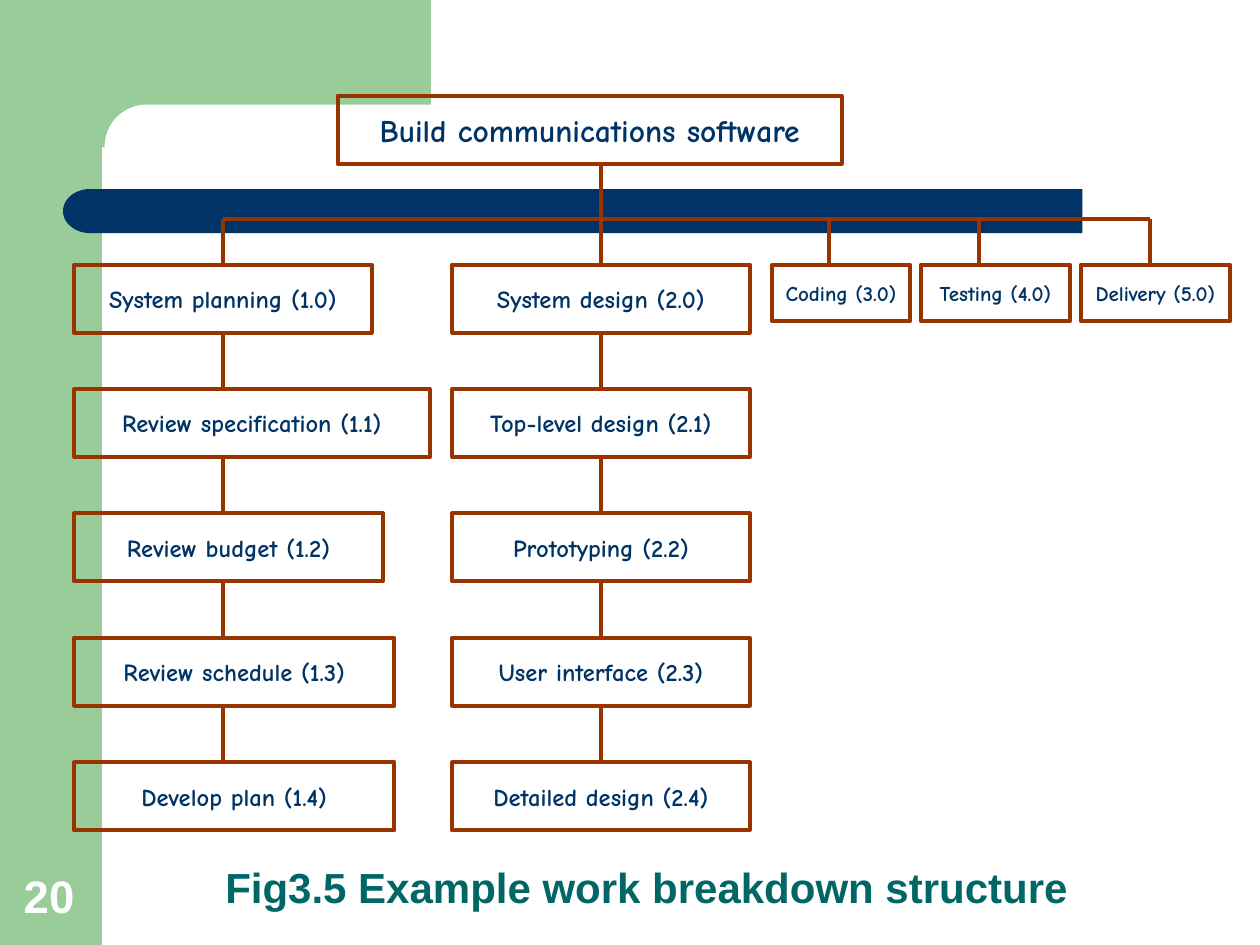
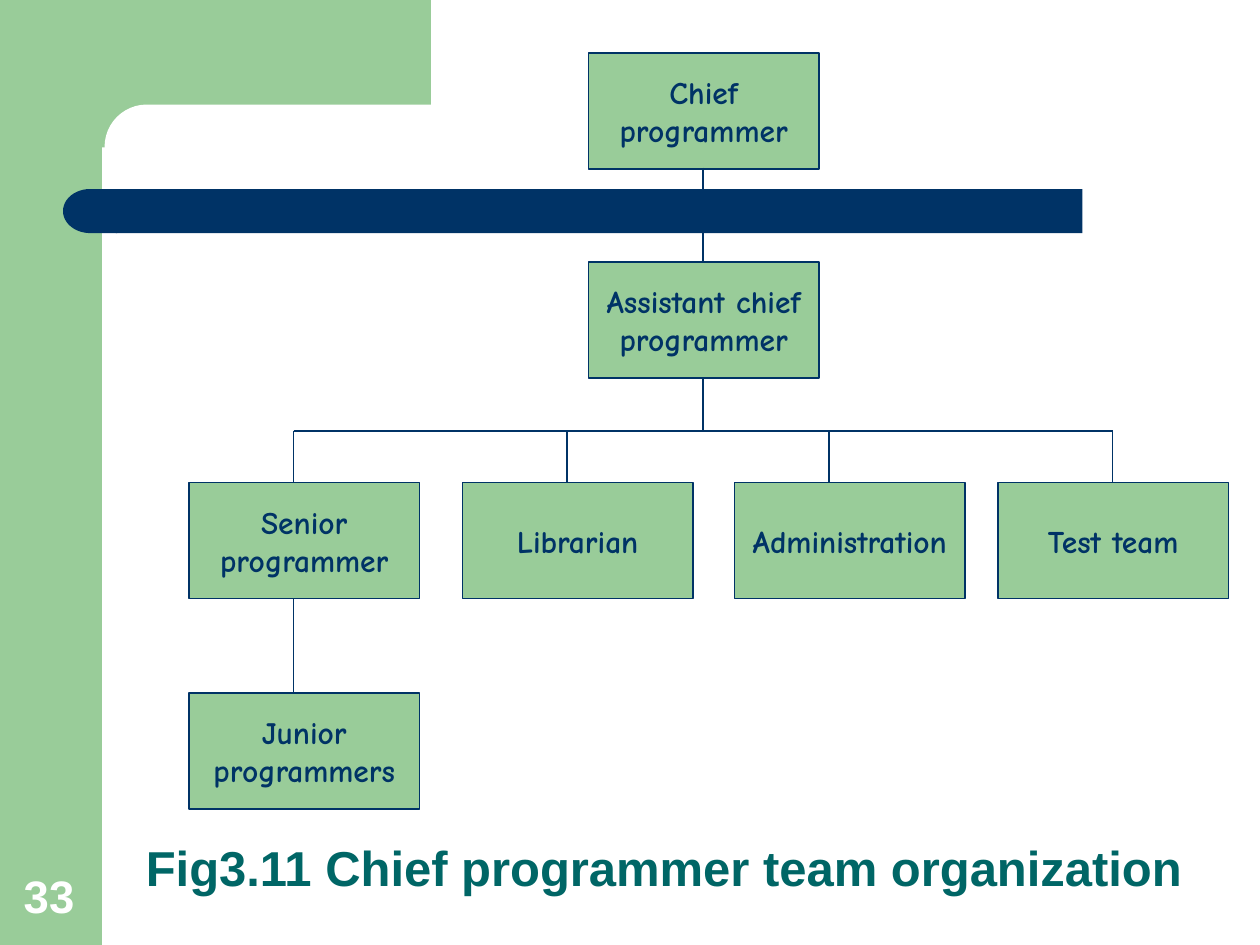
from lxml import etree
from pptx import Presentation
from pptx import util as u
from pptx.dml.color import RGBColor
from pptx.enum import shapes, text
from pptx.oxml.ns import qn

GREEN, NAVY, TEAL, RUST, WHITE = "99CC99", "003366", "006666", "993300", "FFFFFF"
SHAPE = shapes.MSO_SHAPE
color = RGBColor.from_string


def add_box(slide, place, words="", size=18, font="Comic Neue", ink=NAVY,
            kind=SHAPE.RECTANGLE, fill=None, line=None, line_width=1):
    """Add a preset shape, or a bottom-anchored text box when kind is None."""
    place = [u.Inches(value) for value in place]
    if kind is None:
        shape = slide.shapes.add_textbox(*place)
    else:
        shape = slide.shapes.add_shape(kind, *place)
        shape.shadow.inherit = False
        if fill:
            shape.fill.solid()
            shape.fill.fore_color.rgb = color(fill)
        else:
            shape.fill.background()
        if line:
            shape.line.color.rgb = color(line)
            shape.line.width = u.Pt(line_width)
        else:
            shape.line.fill.background()
    if words:
        frame = shape.text_frame
        frame.text = words
        frame.word_wrap = kind is None
        frame.vertical_anchor = text.MSO_ANCHOR.BOTTOM if kind is None else text.MSO_ANCHOR.MIDDLE
        if kind is not None:
            frame.margin_left = frame.margin_right = frame.margin_top = frame.margin_bottom = 0
        for paragraph in frame.paragraphs:
            paragraph.alignment = text.PP_ALIGN.LEFT if kind is None else text.PP_ALIGN.CENTER
            for run in paragraph.runs:
                run.font.name, run.font.size, run.font.bold = font, u.Pt(size), True
                run.font.color.rgb = color(ink)
    return shape


def add_line(slide, x1, y1, x2, y2, line, line_width):
    ends = [u.Inches(value) for value in (x1, y1, x2, y2)]
    connector = slide.shapes.add_connector(shapes.MSO_CONNECTOR.STRAIGHT, *ends)
    connector.line.color.rgb = color(line)
    connector.line.width = u.Pt(line_width)
    etree.SubElement(connector._element.spPr, qn("a:effectLst"))


presentation = Presentation()
presentation.slide_width, presentation.slide_height = u.Inches(10), u.Inches(7.5)

# Shared background, slide number and caption
slides = []
for number, caption, caption_place, caption_size in [
    ("20", "Fig3.5 Example work breakdown structure", (1.69, 6.71, 7.4, 0.58), 24),
    ("33", "Fig3.11 Chief programmer team organization", (1.06, 6.42, 8.6, 0.75), 28),
]:
    slide = presentation.slides.add_slide(presentation.slide_layouts[6])
    slides.append(slide)
    add_box(slide, (0, 0, 0.81, 7.5), fill=GREEN)
    add_box(slide, (0.73, 0, 2.69, 1.17), fill=GREEN)
    corner = add_box(slide, (0.83, 0.83, 5.58, 0.67), kind=SHAPE.ROUNDED_RECTANGLE, fill=WHITE)
    corner.adjustments[0] = 0.5
    add_box(slide, (0.92, 1.5, 7.67, 0.35), fill=NAVY)
    band_end = add_box(slide, (0.5, 1.5, 0.43, 0.35), kind=SHAPE.FLOWCHART_DELAY, fill=NAVY)
    band_end.rotation = 180
    add_box(slide, (0.09, 6.83, 0.64, 0.54), number, 26, "Arial", WHITE, kind=None)
    title = add_box(slide, caption_place, caption, caption_size, "Arial", TEAL, kind=None)
    title.text_frame.paragraphs[0].line_spacing = 0.9

breakdown_slide, team_slide = slides

# Work breakdown: root task, then two columns of tasks
rust_line = {"line": RUST, "line_width": 2.25}
task_top, task_height, task_pitch, branch_y = 2.1, 0.54, 0.9875, 1.74
add_box(breakdown_slide, (2.68, 0.76, 4, task_height), "Build communications software", **rust_line)
task_columns = [
    (0.59, [("System planning (1.0)", 2.36), ("Review specification (1.1)", 2.82),
            ("Review budget (1.2)", 2.45), ("Review schedule (1.3)", 2.54),
            ("Develop plan (1.4)", 2.54)]),
    (3.59, [("System design (2.0)", 2.36), ("Top-level design (2.1)", 2.36),
            ("Prototyping (2.2)", 2.36), ("User interface (2.3)", 2.36),
            ("Detailed design (2.4)", 2.36)]),
]
for left, tasks in task_columns:
    stem_x = left + 1.18
    for row, (task, width) in enumerate(tasks):
        top = task_top + row * task_pitch
        add_box(breakdown_slide, (left, top, width, task_height), task, 14, **rust_line)
        if row:
            add_line(breakdown_slide, stem_x, top - task_pitch + task_height, stem_x, top, **rust_line)

# Work breakdown: single tasks and the branch above all tasks
for task, left, width in [("Coding (3.0)", 6.13, 1.09), ("Testing (4.0)", 7.31, 1.18),
                          ("Delivery (5.0)", 8.58, 1.18)]:
    add_box(breakdown_slide, (left, task_top, width, 0.45), task, 12, **rust_line)
add_line(breakdown_slide, 4.77, 1.29, 4.77, task_top, **rust_line)
add_line(breakdown_slide, 1.77, branch_y, 9.13, branch_y, **rust_line)
for drop_x in (1.77, 6.58, 7.77, 9.13):
    add_line(breakdown_slide, drop_x, branch_y, drop_x, task_top, **rust_line)

# Programmer team: roles
navy_line = {"line": NAVY, "line_width": 1}
for role, left, top in [
    ("Chief\nprogrammer", 4.67, 0.42),
    ("Assistant chief\nprogrammer", 4.67, 2.08),
    ("Senior\nprogrammer", 1.5, 3.83),
    ("Librarian", 3.67, 3.83),
    ("Administration", 5.83, 3.83),
    ("Test team", 7.92, 3.83),
    ("Junior\nprogrammers", 1.5, 5.5),
]:
    add_box(team_slide, (left, top, 1.83, 0.92), role, fill=GREEN, **navy_line)

# Programmer team: reporting lines
for x, top, bottom in [(5.58, 1.33, 2.08), (5.58, 3, 3.42), (2.33, 4.75, 5.5)]:
    add_line(team_slide, x, top, x, bottom, **navy_line)
add_line(team_slide, 2.33, 3.42, 8.83, 3.42, **navy_line)
for drop_x in (2.33, 4.5, 6.58, 8.83):
    add_line(team_slide, drop_x, 3.42, drop_x, 3.83, **navy_line)

presentation.save("out.pptx")
